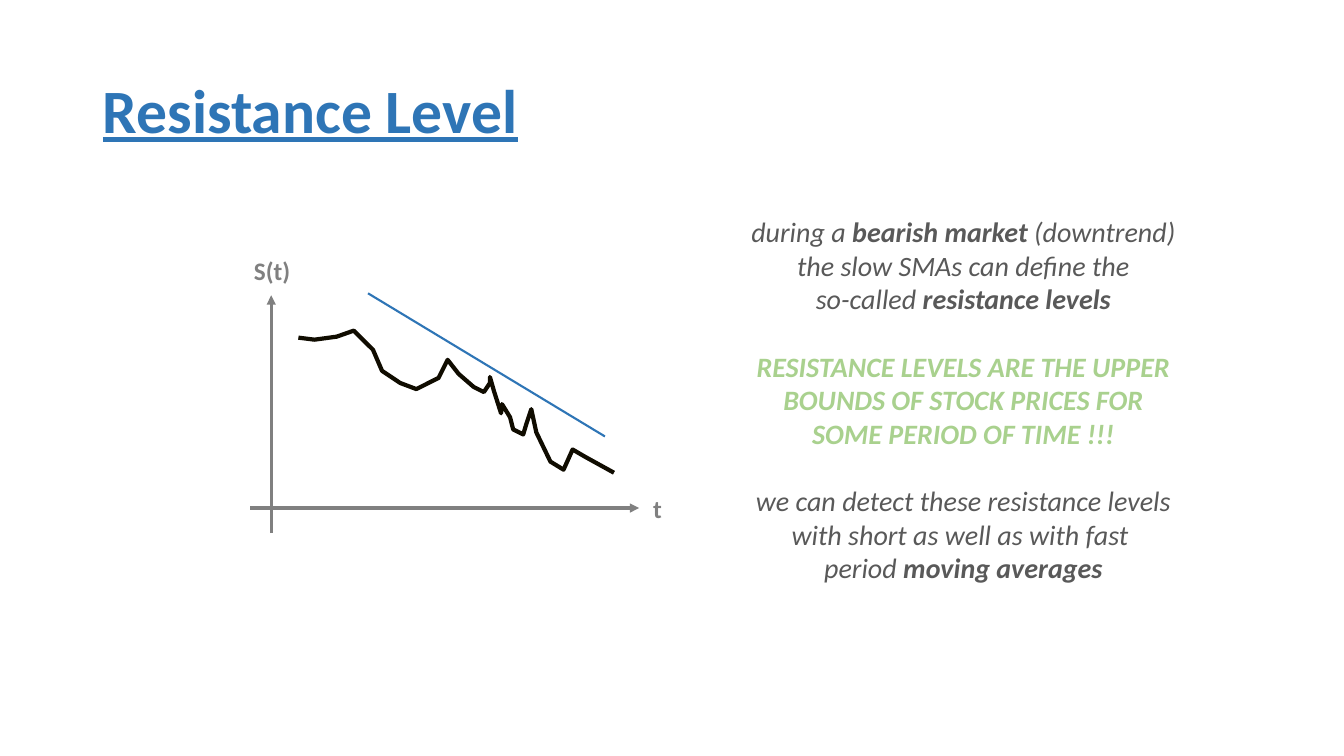
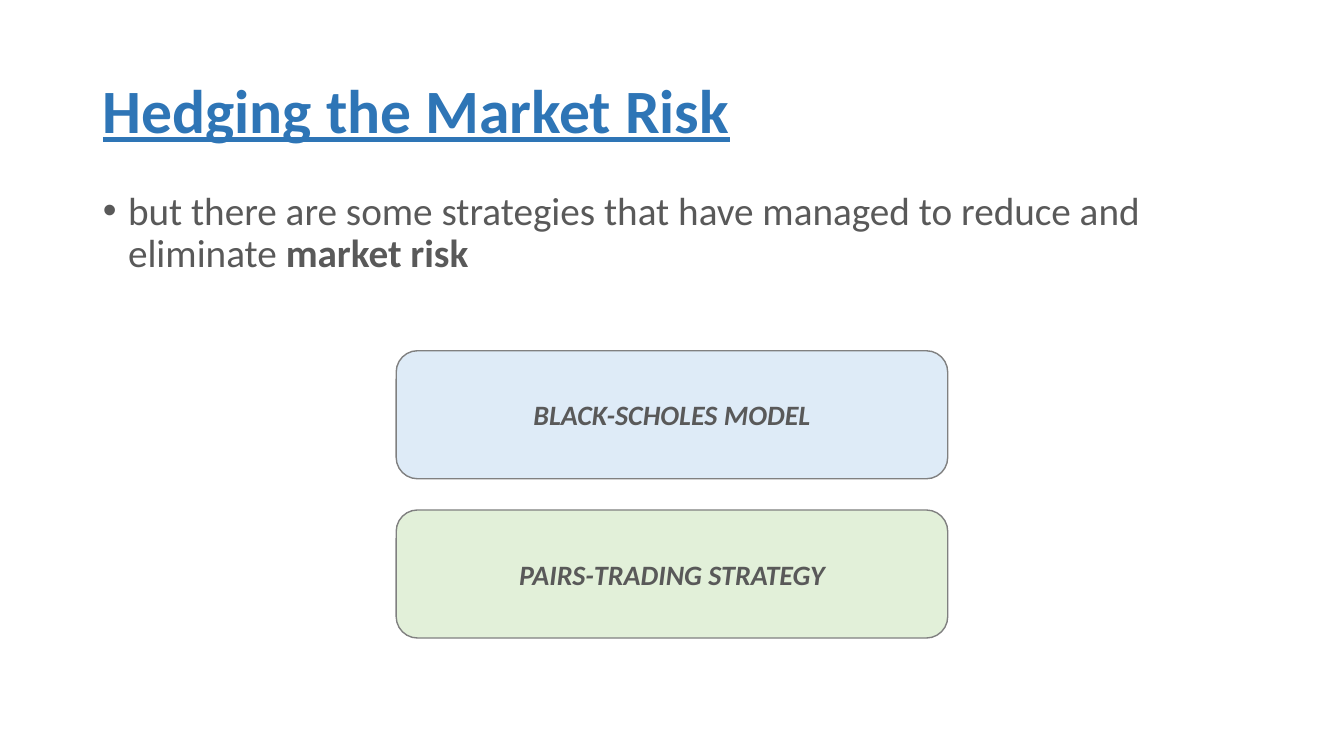
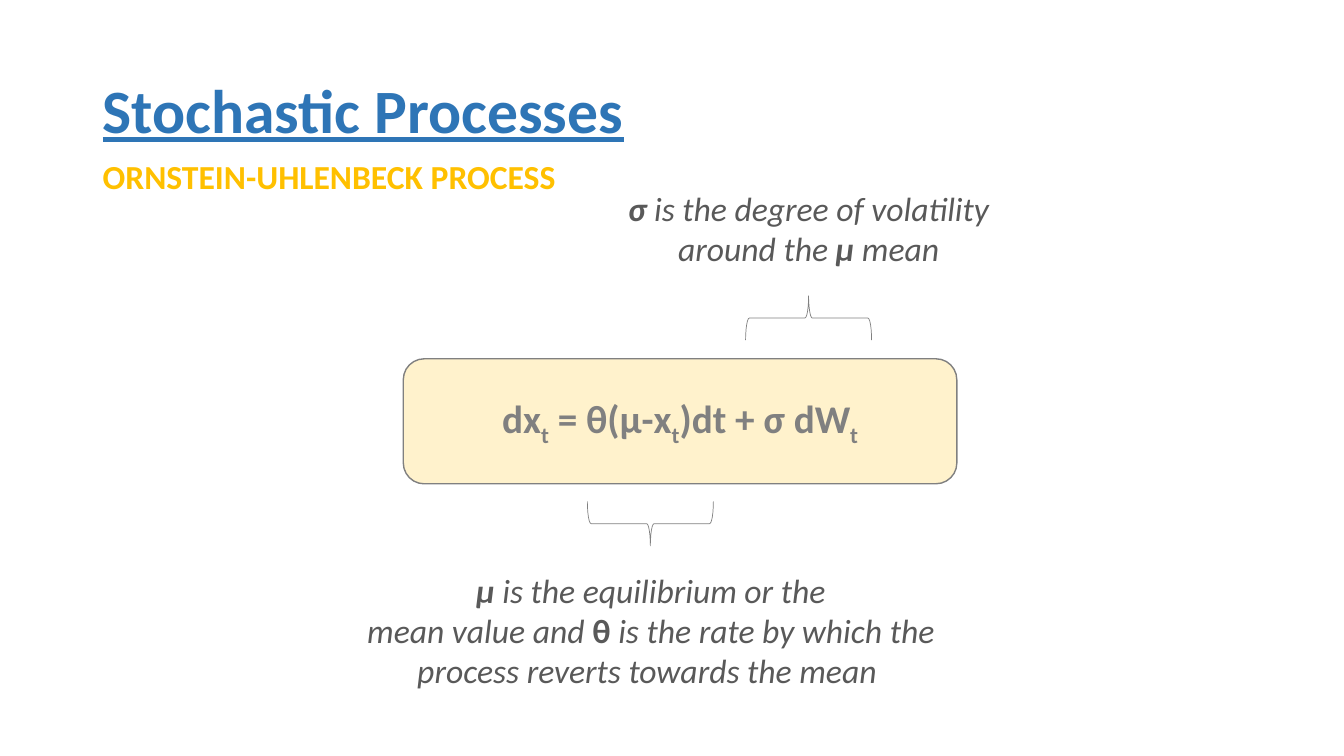
import pptx
import pptx.util
import pptx.dml.color
import pptx.enum.shapes
import pptx.enum.text
import pptx.oxml.ns
import lxml.etree

PX = 9144
FONT = "Calibri"
BLUE, GREY, TEXT, GOLD, GREEN = "2E75B6", "808080", "595959", "FFC000", "A9D18E"
PRICE_LINE = "100C00"
ALIGN = pptx.enum.text.PP_ALIGN
ANCHOR = pptx.enum.text.MSO_ANCHOR
PRESET = pptx.enum.shapes.MSO_SHAPE

PRICES = [
    (296, 335), (312, 337), (334, 334), (351, 328), (370, 347), (379, 368),
    (397, 380), (413, 386), (435, 375), (444, 357), (455, 371), (470, 384),
    (480, 389), (486, 380), (486, 374), (490, 388), (497, 410), (498, 401),
    (506, 414), (509, 426), (519, 431), (522, 421), (527, 406), (532, 429),
    (546, 458), (559, 466), (568, 446), (580, 453), (609, 469),
]
AXES = [((269, 529), (269, 293)), ((248, 504), (634, 504))]
AXIS_LABELS = [("S(t)", (242, 248, 57, 40)), ("t", (638, 484, 29, 40))]
RESISTANCE = ((365, 291), (600, 433))

RESISTANCE_NOTES = [
    (TEXT, [
        [("during a ", "i"), ("bearish market", "bi"), (" (downtrend)", "i")],
        [("the slow SMAs can define the", "i")],
        [("so-called ", "i"), ("resistance levels", "bi")],
    ]),
    (GREEN, [
        [("RESISTANCE LEVELS ARE THE UPPER", "bi")],
        [("BOUNDS OF STOCK PRICES FOR", "bi")],
        [("SOME PERIOD OF TIME !!!", "bi")],
    ]),
    (TEXT, [
        [("we can detect these resistance levels", "i")],
        [("with short as well as with fast ", "i")],
        [("period ", "i"), ("moving averages", "bi")],
    ]),
]

HEDGING_POINT = [
    ("but there are some strategies that have managed to reduce and eliminate ", ""),
    ("market risk", "b"),
]
STRATEGIES = [("BLACK-SCHOLES MODEL", "DEEBF7"), ("PAIRS-TRADING STRATEGY", "E2F0D9")]
STRATEGY_TOP, STRATEGY_PITCH = 348, 158

EQUATION = [("dx", "b"), ("t", "bs"), (" = θ(μ-x", "b"), ("t", "bs"),
            (")dt + σ dW", "b"), ("t", "bs")]
EQUATION_NOTES = [
    ((351, 560, 589, 131), (623, 457, 44, 125), 90, [
        [("μ", "bi"), (" is the equilibrium or the", "i")],
        [("mean value and ", "i"), ("θ ", "b"), ("is the rate by which the", "i")],
        [("process reverts towards the mean ", "i")],
    ]),
    ((611, 181, 382, 91), (780, 253, 44, 125), 270, [
        [("σ", "bi"), (" is the degree of volatility", "i")],
        [("around the ", "i"), ("μ ", "bi"), ("mean", "i")],
    ]),
]


def rgb(value):
    return pptx.dml.color.RGBColor.from_string(value)


def emu(lengths):
    return [length * PX for length in lengths]


def add_xml(parent, tag, **attributes):
    return lxml.etree.SubElement(parent, pptx.oxml.ns.qn(tag), attributes)


def write(paragraph, runs, size, color, align=ALIGN.LEFT):
    paragraph.alignment = align
    for text, flags in runs:
        run = paragraph.add_run()
        run.text = text
        run.font.name = FONT
        run.font.size = pptx.util.Pt(size)
        run.font.color.rgb = rgb(color)
        run.font.bold = "b" in flags
        run.font.italic = "i" in flags
        if "s" in flags:
            run._r.get_or_add_rPr().set("baseline", "-25000")


def place(placeholder, box):
    placeholder.left, placeholder.top, placeholder.width, placeholder.height = emu(box)
    placeholder.text_frame.auto_size = pptx.enum.text.MSO_AUTO_SIZE.NONE


def add_slide(deck, title, layout="Title Only"):
    slide = deck.slides.add_slide(deck.slide_layouts.get_by_name(layout))
    heading = slide.shapes.title
    place(heading, (92, 40, 1150, 145))
    heading.text_frame.vertical_anchor = ANCHOR.MIDDLE
    paragraph = heading.text_frame.paragraphs[0]
    paragraph.line_spacing = 0.9
    write(paragraph, [(title, "b")], 44, BLUE)
    paragraph.runs[0].font.underline = True
    return slide


def add_text(slide, box, groups, size, align=ALIGN.LEFT, group_gap=0):
    frame = slide.shapes.add_textbox(*emu(box)).text_frame
    frame.word_wrap = False
    frame.auto_size = pptx.enum.text.MSO_AUTO_SIZE.SHAPE_TO_FIT_TEXT
    paragraph = None
    for color, lines in groups:
        for index, runs in enumerate(lines):
            if paragraph is None:
                paragraph = frame.paragraphs[0]
            else:
                paragraph = frame.add_paragraph()
                paragraph.space_before = pptx.util.Pt(0 if index else group_gap)
            write(paragraph, runs, size, color, align)


def add_line(slide, ends, color, width, arrow=False):
    start, end = ends
    line = slide.shapes.add_connector(
        pptx.enum.shapes.MSO_CONNECTOR.STRAIGHT, *emu(start + end))
    line.line.color.rgb = rgb(color)
    line.line.width = pptx.util.Pt(width)
    if arrow:
        add_xml(line.line._get_or_add_ln(), "a:tailEnd", type="triangle")
    add_xml(line._element.spPr, "a:effectLst")


def outline(shape, color, width):
    shape.shadow.inherit = False
    shape.fill.background()
    shape.line.color.rgb = rgb(color)
    shape.line.width = pptx.util.Pt(width)


def add_card(slide, box, fill, runs, size, color):
    card = slide.shapes.add_shape(PRESET.ROUNDED_RECTANGLE, *emu(box))
    outline(card, GREY, 1)
    card.fill.solid()
    card.fill.fore_color.rgb = rgb(fill)
    card.text_frame.word_wrap = True
    card.text_frame.vertical_anchor = ANCHOR.MIDDLE
    write(card.text_frame.paragraphs[0], runs, size, color, ALIGN.CENTER)


def build_resistance(deck):
    slide = add_slide(deck, "Resistance Level")
    for axis in AXES:
        add_line(slide, axis, GREY, 2.25, arrow=True)
    for label, box in AXIS_LABELS:
        add_text(slide, box, [(GREY, [[(label, "b")]])], 18)
    add_text(slide, (734, 208, 443, 380), RESISTANCE_NOTES, 20, ALIGN.CENTER, group_gap=24)
    builder = slide.shapes.build_freeform(*PRICES[0], scale=PX)
    builder.add_line_segments(PRICES[1:], close=False)
    outline(builder.convert_to_shape(), PRICE_LINE, 3)
    add_line(slide, RESISTANCE, BLUE, 1.5)


def build_hedging(deck):
    slide = add_slide(deck, "Hedging the Market Risk", "Title and Content")
    body = slide.placeholders[1]
    place(body, (92, 185, 1150, 510))
    point = body.text_frame.paragraphs[0]
    point.line_spacing = 0.9
    point.space_before = pptx.util.Pt(0)
    properties = point._p.get_or_add_pPr()
    properties.set("marL", str(25 * PX))
    properties.set("indent", str(-25 * PX))
    add_xml(properties, "a:buFont", typeface="Arial")
    add_xml(properties, "a:buChar", char="•")
    write(point, HEDGING_POINT, 28, TEXT)
    for row, (strategy, fill) in enumerate(STRATEGIES):
        box = (393, STRATEGY_TOP + row * STRATEGY_PITCH, 547, 127)
        add_card(slide, box, fill, [(strategy, "bi")], 20, TEXT)


def build_processes(deck):
    slide = add_slide(deck, "Stochastic Processes")
    add_text(slide, (92, 150, 474, 50),
             [(GOLD, [[("ORNSTEIN-UHLENBECK PROCESS", "b")]])], 24)
    add_card(slide, (400, 356, 549, 124), "FFF2CC", EQUATION, 28, GREY)
    for note_box, brace_box, turn, lines in EQUATION_NOTES:
        brace = slide.shapes.add_shape(PRESET.RIGHT_BRACE, *emu(brace_box))
        brace.rotation = turn
        outline(brace, GREY, 0.5)
        add_text(slide, note_box, [(TEXT, lines)], 24, ALIGN.CENTER)


def main():
    deck = pptx.Presentation()
    deck.slide_width = pptx.util.Inches(13.33)
    deck.slide_height = pptx.util.Inches(7.5)
    build_resistance(deck)
    build_hedging(deck)
    build_processes(deck)
    deck.save("out.pptx")


if __name__ == "__main__":
    main()
